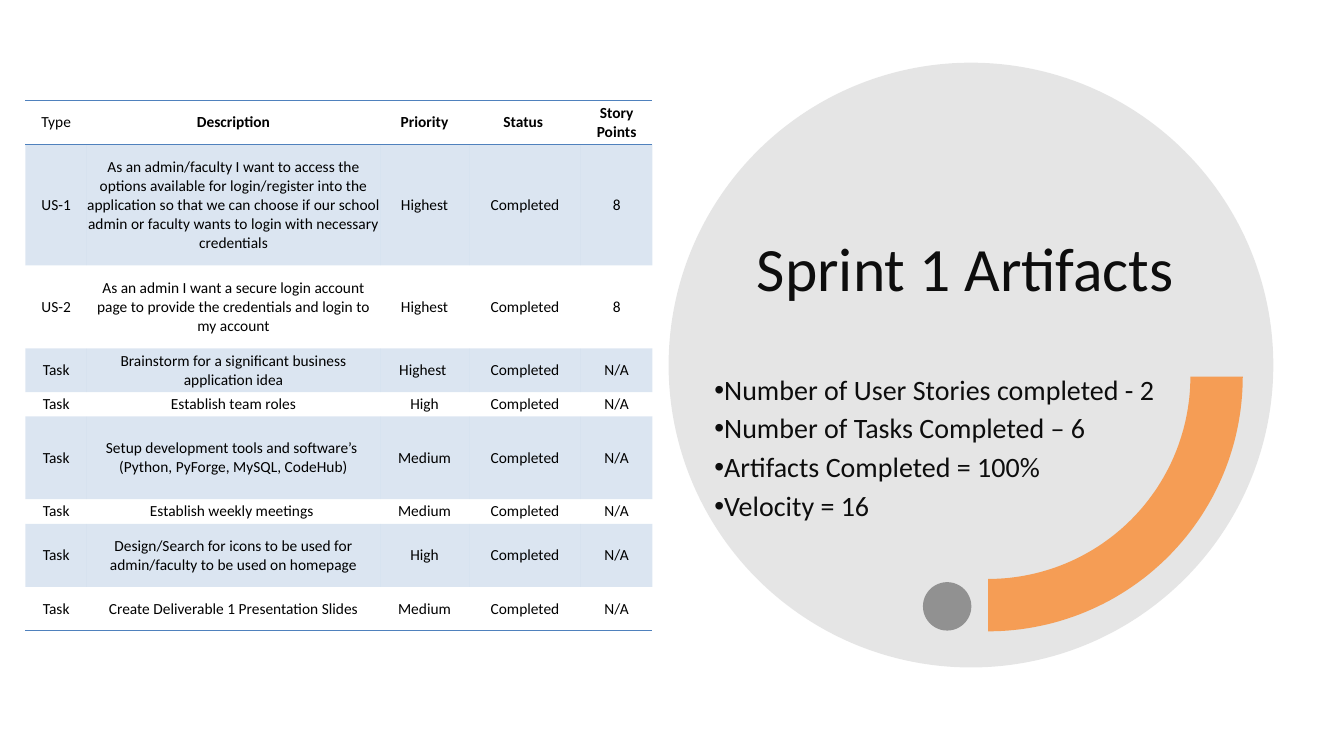
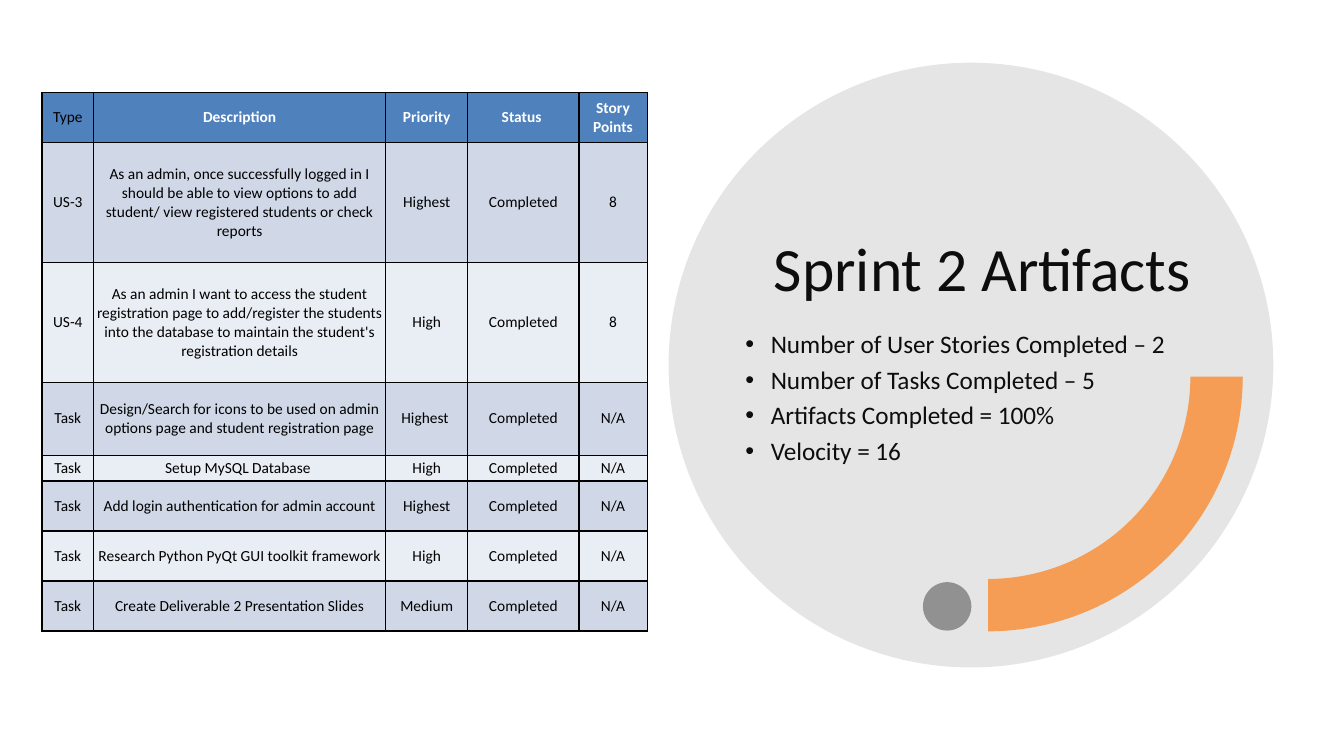
from dataclasses import dataclass
from math import cos, pi, sin
from typing import Optional

from lxml import etree
from pptx import Presentation
from pptx.dml.color import RGBColor
from pptx.dml.fill import FillFormat
from pptx.enum.shapes import MSO_SHAPE
from pptx.enum.text import MSO_ANCHOR, MSO_AUTO_SIZE, PP_ALIGN
from pptx.oxml.ns import qn
from pptx.shapes.base import BaseShape
from pptx.slide import Slide
from pptx.table import _Cell
from pptx.text.text import _Paragraph
from pptx.util import Cm, Pt

OVAL = MSO_SHAPE.OVAL
LEFT, CENTER = PP_ALIGN.LEFT, PP_ALIGN.CENTER
TOP, MIDDLE, BOTTOM = MSO_ANCHOR.TOP, MSO_ANCHOR.MIDDLE, MSO_ANCHOR.BOTTOM
NO_AUTOFIT = MSO_AUTO_SIZE.NONE

FONT = "Calibri"
COLOURS = {
    "ink": "0D0D0D",
    "black": "000000",
    "white": "FFFFFF",
    "disc": "808080",
    "dot": "595959",
    "arc": "F79646",
    "blue": "4F81BD",
    "band_dark": "D0D8E8",
    "band_light": "E9EDF4",
}
PLAIN_TABLE = "{2D5ABB26-0587-4C30-8999-92F81FD0307C}"
HEADINGS = ("Type", "Description", "Priority", "Status ", "Story Points")


@dataclass(frozen=True)
class Area:
    """A rectangle in centimetres."""
    left: float
    top: float
    width: float
    height: float

    def lengths(self) -> tuple[Cm, Cm, Cm, Cm]:
        return Cm(self.left), Cm(self.top), Cm(self.width), Cm(self.height)


@dataclass(frozen=True)
class Paint:
    colour: str
    opacity: int = 100


@dataclass(frozen=True)
class Item:
    kind: str
    description: str
    priority: str
    points: str = "N/A"
    status: str = "Completed"

    def texts(self) -> tuple[str, ...]:
        return self.kind, self.description, self.priority, self.status, self.points


@dataclass(frozen=True)
class TableStyle:
    header: Optional[Paint]
    header_text: str
    odd_row: Optional[Paint]
    even_row: Optional[Paint]
    gridded: bool


@dataclass(frozen=True)
class Sprint:
    title: str
    title_area: Area
    bullets: tuple[str, ...]
    bullet_area: Area
    bullet_size: int
    bullet_margin: float
    table_left: float
    table_top: float
    columns: tuple[float, ...]
    rows: tuple[float, ...]
    style: TableStyle
    items: tuple[Item, ...]


RULED = TableStyle(None, "black", Paint("blue", 20), None, False)
GRIDDED = TableStyle(Paint("blue"), "white", Paint("band_dark"), Paint("band_light"), True)

SPRINTS = (
    Sprint(
        "Sprint 1 Artifacts", Area(18.82, 3.3, 11.3, 4.5),
        ("Number of User Stories completed - 2", "Number of Tasks Completed – 6",
         "Artifacts Completed = 100%", "Velocity = 16"),
        Area(17.75, 9.35, 12.22, 5.94), 20, 0,
        0.64, 2.53, (1.55, 7.39, 2.24, 2.82, 1.8),
        (1.11, 3.05, 2.09, 1.1, 0.61, 2.09, 0.62, 1.59, 1.1), RULED,
        (
            Item("US-1", "As an admin/faculty I want to access the options available for "
                 "login/register into the application so that we can choose if our school "
                 "admin or faculty wants to login with necessary credentials", "Highest", "8"),
            Item("US-2", "As an admin I want a secure login account page to provide the "
                 "credentials and login to my account", "Highest", "8"),
            Item("Task", "Brainstorm for a significant business application idea", "Highest "),
            Item("Task", "Establish team roles", "High"),
            Item("Task", "Setup development tools and software’s \n"
                 "(Python, PyForge, MySQL, CodeHub)", "Medium"),
            Item("Task", "Establish weekly meetings ", "Medium"),
            Item("Task", "Design/Search for icons to be used for admin/faculty to be used "
                 "on homepage", "High"),
            Item("Task", "Create Deliverable 1 Presentation Slides", "Medium"),
        ),
    ),
    Sprint(
        "Sprint 2 Artifacts", Area(19.25, 3.3, 11.58, 4.5),
        ("Number of User Stories Completed – 2", "Number of Tasks Completed – 5",
         "Artifacts Completed = 100%", "Velocity = 16"),
        Area(18.21, 8.23, 11.58, 5.94), 18, 0.96,
        1.06, 2.34, (1.3, 7.36, 2.07, 2.8, 1.72),
        (1.25, 3.02, 3.02, 1.84, 0.65, 1.26, 1.26, 1.26), GRIDDED,
        (
            Item("US-3", "As an admin, once successfully logged in I should be able to view "
                 "options to add student/ view registered students or check reports",
                 "Highest", "8"),
            Item("US-4", "As an admin I want to access the student registration page to "
                 "add/register the students into the database to maintain the student's "
                 "registration details", "High", "8"),
            Item("Task", "Design/Search for icons to be used on admin options page and "
                 "student registration page", "Highest "),
            Item("Task", "Setup MySQL Database ", "High"),
            Item("Task", "Add login authentication for admin account", "Highest"),
            Item("Task", "Research Python PyQt GUI toolkit framework", "High"),
            Item("Task", "Create Deliverable 2 Presentation Slides", "Medium"),
        ),
    ),
)


def rgb(name: str) -> RGBColor:
    return RGBColor.from_string(COLOURS[name])


def apply_paint(fill: FillFormat, paint: Optional[Paint]) -> None:
    if paint is None:
        fill.background()
        return
    fill.solid()
    fill.fore_color.rgb = rgb(paint.colour)
    if paint.opacity < 100:
        colour = fill._xPr.find(qn("a:solidFill"))[0]
        etree.SubElement(colour, qn("a:alpha"), val=str(paint.opacity * 1000))


def finish_shape(shape: BaseShape, paint: Paint) -> None:
    shape.shadow.inherit = False
    shape.line.fill.background()
    apply_paint(shape.fill, paint)


def add_span(para: _Paragraph, text: str, size: float, colour: str, bold: bool = False) -> None:
    span = para.add_run()
    span.text = text
    span.font.name = FONT
    span.font.size = Pt(size)
    span.font.bold = bold
    span.font.color.rgb = rgb(colour)


def draw_oval(page: Slide, area: Area, paint: Paint) -> BaseShape:
    oval = page.shapes.add_shape(OVAL, *area.lengths())
    finish_shape(oval, paint)
    return oval


def draw_quarter_ring(page: Slide, centre: tuple[float, float], outer: float, inner: float,
                      paint: Paint, steps: int = 60) -> None:
    """Draw the lower right quarter of a ring."""
    angles = [pi / 2 * step / steps for step in range(steps + 1)]
    points = [
        (Cm(centre[0] + radius * cos(angle)), Cm(centre[1] + radius * sin(angle)))
        for radius, sweep in ((outer, angles), (inner, angles[::-1]))
        for angle in sweep
    ]
    builder = page.shapes.build_freeform(*points[0])
    builder.add_line_segments(points[1:], close=True)
    finish_shape(builder.convert_to_shape(), paint)


def draw_backdrop(page: Slide) -> None:
    disc = draw_oval(page, Area(16.85, 1.58, 15.24, 15.24), Paint("disc", 20))
    page.shapes._spTree.insert(2, disc._element)  # behind the placeholders
    draw_oval(page, Area(23.26, 14.67, 1.22, 1.22), Paint("dot", 60))
    draw_quarter_ring(page, (24.9, 9.49), 6.42, 5.1, Paint("arc", 90))


def fill_placeholder(box: BaseShape, area: Area, anchor: MSO_ANCHOR, lines: tuple[str, ...],
                     size: float) -> list[_Paragraph]:
    box.left, box.top, box.width, box.height = area.lengths()
    frame = box.text_frame
    frame.word_wrap = True
    frame.auto_size = NO_AUTOFIT
    frame.vertical_anchor = anchor
    for index, line in enumerate(lines):
        para = frame.add_paragraph() if index else frame.paragraphs[0]
        para.alignment = LEFT
        para.line_spacing = 0.9
        para.space_before = Pt(0)
        add_span(para, line, size, "ink")
    return list(frame.paragraphs)


def draw_text(page: Slide, sprint: Sprint) -> None:
    fill_placeholder(page.shapes.title, sprint.title_area, BOTTOM, (sprint.title,), 44)
    bullets = fill_placeholder(page.placeholders[1], sprint.bullet_area, TOP,
                               sprint.bullets, sprint.bullet_size)
    for para in bullets:
        para.space_after = Pt(6)
        properties = para._p.get_or_add_pPr()
        properties.set("marL", str(Cm(sprint.bullet_margin)))
        properties.set("indent", str(Cm(-0.64)))


def add_borders(cell: _Cell, sides: str, colour: str) -> None:
    """Rule the given sides, listed in the order L, R, T, B."""
    properties = cell._tc.get_or_add_tcPr()
    for side in sides:
        line = etree.SubElement(properties, qn(f"a:ln{side}"), w=str(Pt(1)))
        solid = etree.SubElement(line, qn("a:solidFill"))
        etree.SubElement(solid, qn("a:srgbClr"), val=COLOURS[colour])


def fill_cell(cell: _Cell, text: str, colour: str, bold: bool) -> None:
    cell.margin_left = cell.margin_right = cell.margin_top = cell.margin_bottom = 0
    cell.vertical_anchor = MIDDLE
    frame = cell.text_frame
    for index, line in enumerate(text.split("\n")):
        para = frame.add_paragraph() if index else frame.paragraphs[0]
        para.alignment = CENTER
        add_span(para, line, 11, colour, bold)


def draw_table(page: Slide, sprint: Sprint) -> None:
    style = sprint.style
    area = Area(sprint.table_left, sprint.table_top, sum(sprint.columns), sum(sprint.rows))
    table = page.shapes.add_table(len(sprint.rows), len(sprint.columns), *area.lengths()).table
    table._tbl.tblPr.find(qn("a:tableStyleId")).text = PLAIN_TABLE
    table.horz_banding = False
    for column, width in zip(table.columns, sprint.columns):
        column.width = Cm(width)
    for row, height in zip(table.rows, sprint.rows):
        row.height = Cm(height)

    contents = [HEADINGS, *(item.texts() for item in sprint.items)]
    last = len(contents) - 1
    for row_index, texts in enumerate(contents):
        is_header = row_index == 0
        paint = style.header if is_header else (style.even_row, style.odd_row)[row_index % 2]
        ruled_sides = "TB" if is_header else "B" if row_index == last else ""
        for column_index, text in enumerate(texts):
            cell = table.cell(row_index, column_index)
            is_heading = is_header and column_index > 0
            fill_cell(cell, text, style.header_text if is_heading else "black", is_heading)
            if style.gridded:
                add_borders(cell, "LRTB", "black")
            else:
                add_borders(cell, ruled_sides, "blue")
            apply_paint(cell.fill, paint)


def main() -> None:
    deck = Presentation()
    deck.slide_width, deck.slide_height = Cm(33.87), Cm(19.05)
    for sprint in SPRINTS:
        page = deck.slides.add_slide(deck.slide_layouts[1])
        draw_backdrop(page)
        draw_text(page, sprint)
        draw_table(page, sprint)
    deck.save("out.pptx")


if __name__ == "__main__":
    main()
